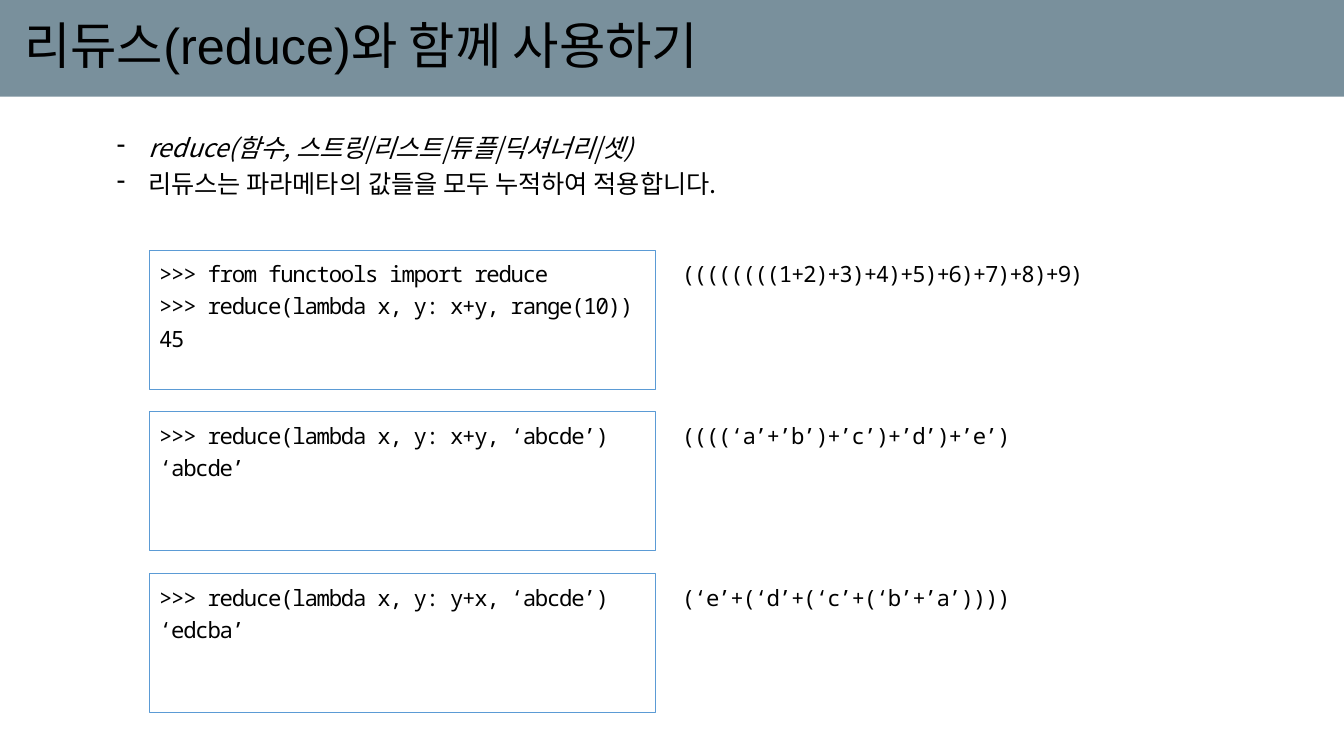
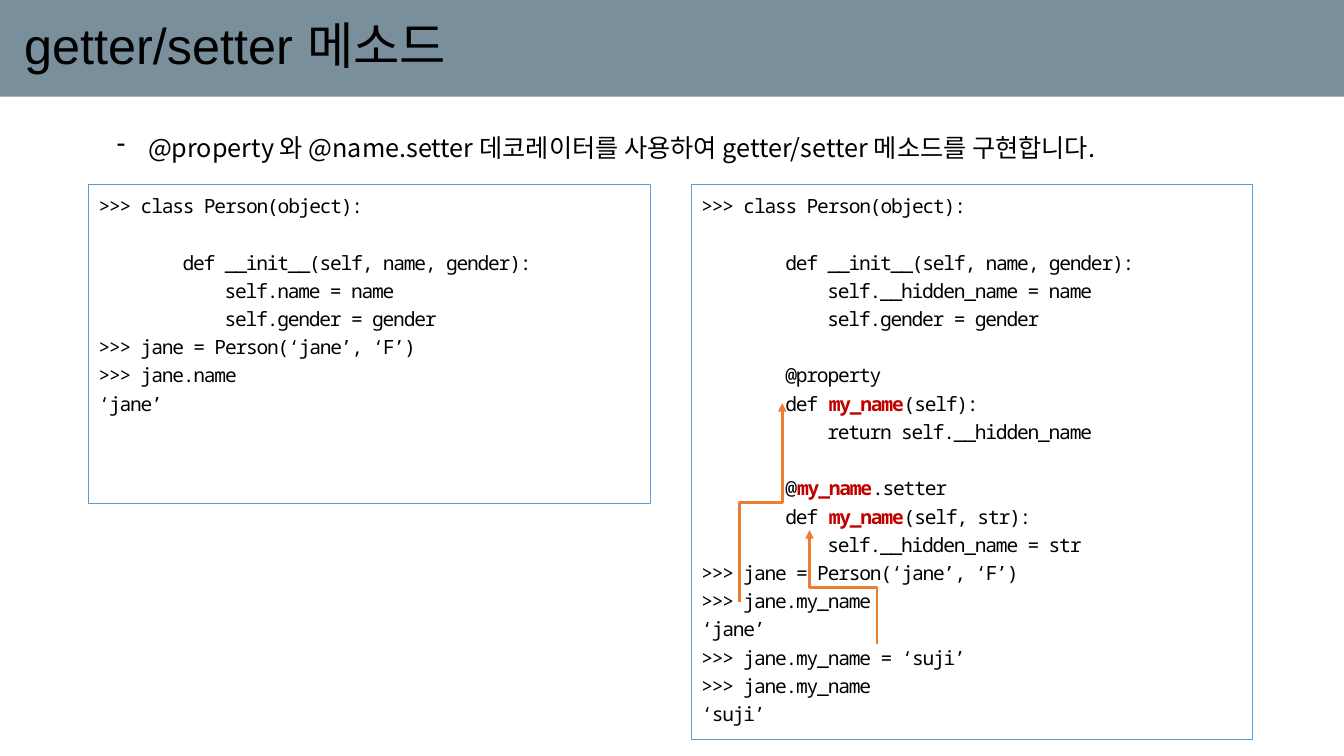
from dataclasses import dataclass

from lxml import etree
from pptx import Presentation, util as u
from pptx.dml.color import RGBColor
from pptx.enum import shapes, text
from pptx.oxml import ns


@dataclass(frozen=True)
class Theme:
    band: str = "79909C"
    ink: str = "000000"
    frame: str = "5B9BD5"
    accent: str = "C00000"
    arrow: str = "ED7D31"
    title_font: str = "Arial"
    body_font: str = "Noto Sans CJK KR"
    code_font: str = "Noto Sans Mono"
    title_size: int = 36
    body_size: int = 18
    code_size: int = 16
    listing_size: int = 14


theme = Theme()
presentation = Presentation()
presentation.slide_width = u.Inches(13.33)
presentation.slide_height = u.Inches(7.5)
column = presentation.slide_width / 100
row = presentation.slide_height / 100


def add_box(slide, left, top, width, height, fill=None, line=None):
    """Add a rectangle measured in grid columns and rows."""
    shape = slide.shapes.add_shape(
        shapes.MSO_SHAPE.RECTANGLE,
        round(left * column), round(top * row), round(width * column), round(height * row))
    shape.shadow.inherit = False
    if fill:
        shape.fill.solid()
        shape.fill.fore_color.rgb = RGBColor.from_string(fill)
    else:
        shape.fill.background()
    if line:
        shape.line.color.rgb = RGBColor.from_string(line)
        shape.line.width = u.Pt(0.75)
    else:
        shape.line.fill.background()
    return shape


def write(shape, content, font=theme.code_font, size=theme.code_size, spacing=1.2,
          tracking=-0.9, anchor=text.MSO_ANCHOR.TOP, inset=0.1, bullet=None, italic_lines=()):
    """Write lines; leading spaces become indents, empty lines become gaps, *words* are accented."""
    frame = shape.text_frame
    frame.word_wrap = True
    frame.vertical_anchor = anchor
    frame.margin_left = u.Inches(inset)
    paragraph, gap = None, 0
    for number, line in enumerate(content.split("\n")):
        if not line:
            gap += size * 1.44
            continue
        paragraph = frame.add_paragraph() if paragraph else frame.paragraphs[0]
        paragraph.alignment = text.PP_ALIGN.LEFT
        paragraph.line_spacing = spacing
        paragraph.space_before = u.Pt(gap)
        gap = 0
        words = line.lstrip()
        properties = paragraph._p.get_or_add_pPr()
        indent = u.Pt((len(line) - len(words)) * (size * 0.6 + tracking))
        if bullet:
            indent = u.Inches(0.31)
            properties.set("indent", str(-indent))
            etree.SubElement(properties, ns.qn("a:buChar"), char=bullet)
        properties.set("marL", str(indent))
        for position, part in enumerate(words.split("*")):
            if not part:
                continue
            accented = position % 2 == 1
            run = paragraph.add_run()
            run.text = part
            run.font.name = font
            run.font.size = u.Pt(size)
            run.font.bold = accented
            run.font.italic = number in italic_lines
            run.font.color.rgb = RGBColor.from_string(theme.accent if accented else theme.ink)
            run_properties = run._r.get_or_add_rPr()
            run_properties.set("spc", str(round(tracking * 100)))
            etree.SubElement(run_properties, ns.qn("a:ea"), typeface=theme.body_font)


# Title band and bullets of each slide
pages = [
    ("리듀스(reduce)와 함께 사용하기",
     "reduce(함수, 스트링|리스트|튜플|딕셔너리|셋)\n리듀스는 파라메타의 값들을 모두 누적하여 적용합니다.", 11.1, (0,)),
    ("getter/setter 메소드",
     "@property 와 @name.setter 데코레이터를 사용하여 getter/setter 메소드를 구현합니다.", 6.1, ()),
]
slides = []
for title, bullets, bullets_height, italic_lines in pages:
    slide = presentation.slides.add_slide(presentation.slide_layouts[6])
    slides.append(slide)
    write(add_box(slide, 0, 0, 100, 12.8, fill=theme.band), title, font=theme.title_font,
          size=theme.title_size, spacing=0.9, tracking=0, anchor=text.MSO_ANCHOR.MIDDLE, inset=0.24)
    body = slide.shapes.add_textbox(
        round(7.95 * column), round(16 * row), round(79.44 * column), round(bullets_height * row))
    write(body, bullets, font=theme.body_font, size=theme.body_size, tracking=0,
          bullet="-", italic_lines=italic_lines)
reduce_slide, property_slide = slides

# Each reduce call beside its expansion
examples = [
    (">>> from functools import reduce\n>>> reduce(lambda x, y: x+y, range(10))\n45",
     "((((((((1+2)+3)+4)+5)+6)+7)+8)+9)"),
    (">>> reduce(lambda x, y: x+y, ‘abcde’)\n‘abcde’", "((((‘a’+’b’)+’c’)+’d’)+’e’)"),
    (">>> reduce(lambda x, y: y+x, ‘abcde’)\n‘edcba’", "(‘e’+(‘d’+(‘c’+(‘b’+’a’))))"),
]
for index, (call, expansion) in enumerate(examples):
    top = 33.07 + index * 21.4
    write(add_box(reduce_slide, 11.1, top, 37.65, 18.4, line=theme.frame), call)
    note = reduce_slide.shapes.add_textbox(
        round(50 * column), round(top * row), round(37.65 * column), round(18.4 * row))
    write(note, expansion)

# Plain attribute beside property
plain_class = """>>> class Person(object):

        def __init__(self, name, gender):
            self.name = name
            self.gender = gender
>>> jane = Person(‘jane’, ‘F’)
>>> jane.name
‘jane’"""
property_class = """>>> class Person(object):

        def __init__(self, name, gender):
            self.__hidden_name = name
            self.gender = gender

        @property
        def *my_name*(self):
            return self.__hidden_name

        @*my_name*.setter
        def *my_name*(self, str):
            self.__hidden_name = str
>>> jane = Person(‘jane’, ‘F’)
>>> jane.my_name
‘jane’
>>> jane.my_name = ‘suji’
>>> jane.my_name
‘suji’"""
for left, height, listing in [(6.6, 42.27, plain_class), (51.45, 73.47, property_class)]:
    write(add_box(property_slide, left, 24.4, 41.78, height, line=theme.frame),
          listing, size=theme.listing_size)

# Arrows from each use up to its method: an elbow turned so that it leaves vertically
for start_x, start_y, end_x, end_y in [(55.05, 79.6, 58.2, 53.33), (65.25, 85.2, 60.23, 70.13)]:
    side = 1 if end_x > start_x else -1
    center_x = (start_x + end_x) / 2 * column
    center_y = (start_y + end_y) / 2 * row
    half_length = side * (start_y - end_y) / 2 * row
    half_width = abs(end_x - start_x) / 2 * column
    arrow = property_slide.shapes.add_connector(
        shapes.MSO_CONNECTOR.ELBOW,
        round(center_x + half_length), round(center_y + half_width),
        round(center_x - half_length), round(center_y - half_width))
    arrow.rotation = 90 if side == 1 else 270
    arrow.line.color.rgb = RGBColor.from_string(theme.arrow)
    arrow.line.width = u.Pt(2)
    etree.SubElement(arrow.line._get_or_add_ln(), ns.qn("a:tailEnd"), type="triangle")
    etree.SubElement(arrow._element.spPr, ns.qn("a:effectLst"))

presentation.save("out.pptx")
